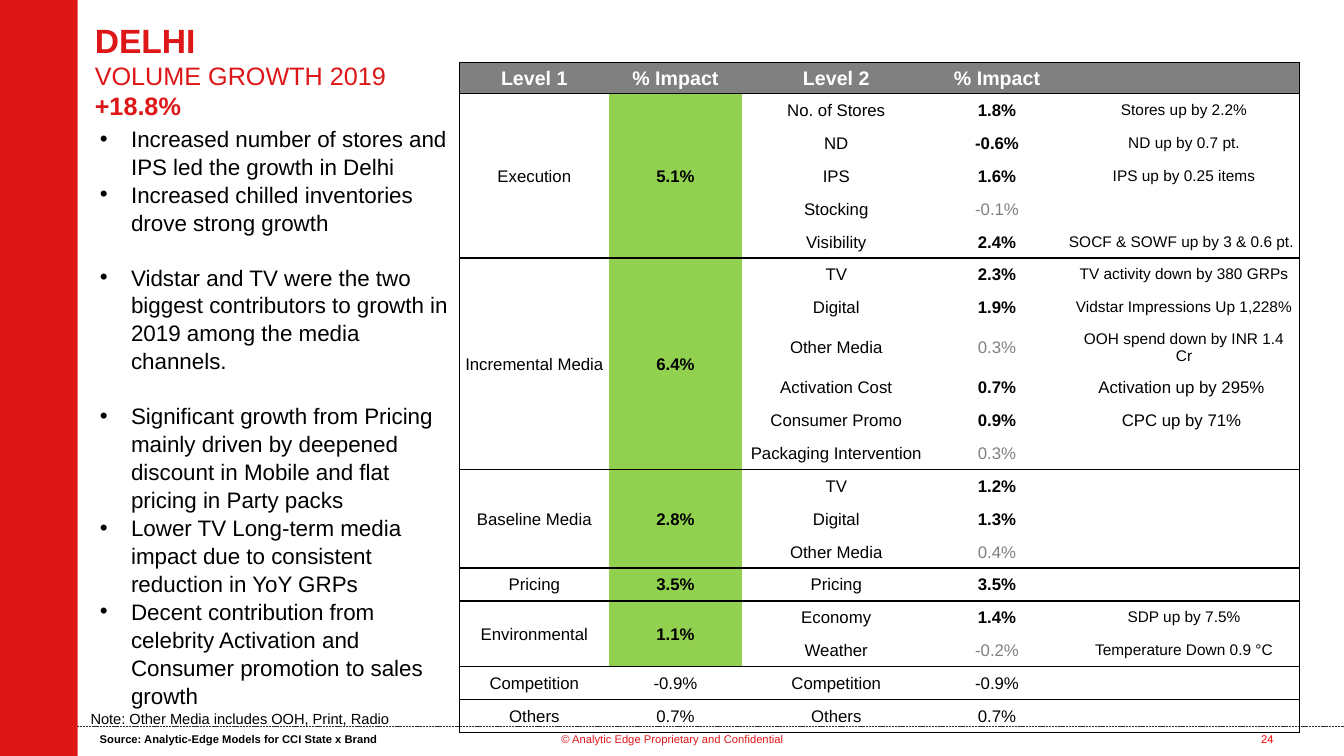
"""Build the Delhi volume growth slide with its driver table."""
from lxml import etree
from pptx import Presentation
from pptx.dml.color import RGBColor
from pptx.enum.dml import MSO_LINE
from pptx.enum.shapes import MSO_CONNECTOR, MSO_SHAPE
from pptx.enum.text import MSO_ANCHOR as ANCHOR, MSO_AUTO_SIZE as AUTO, PP_ALIGN as ALIGN
from pptx.oxml.ns import qn
from pptx.util import Inches, Pt

COLORS = {"red": "DD1618", "number": "FF0000", "black": "000000", "white": "FFFFFF",
          "gray": "808080", "green": "92D050", "rule": "2E2E30"}
NO_GRID_STYLE = "{2D5ABB26-0587-4C30-8999-92F81FD0307C}"

TITLE = [("DELHI", 24, True), ("VOLUME GROWTH 2019", 18, False), ("+18.8%", 18, True)]
BULLETS = [
    ("Increased number of stores and IPS led the growth in Delhi", False),
    ("Increased chilled inventories drove strong growth", False),
    ("Vidstar and TV were the two biggest contributors to growth in 2019 "
     "among the media channels.", True),
    ("Significant growth from Pricing mainly driven by deepened discount in "
     "Mobile and flat pricing in Party packs", True),
    ("Lower TV Long-term media impact due to consistent reduction in YoY GRPs", False),
    ("Decent contribution from celebrity Activation and Consumer promotion "
     "to sales growth", False),
]
HEADERS = ["Level 1", "% Impact", "Level 2", "% Impact", ""]
COLUMN_WIDTHS = [1.48, 1.32, 1.87, 1.32, 2.34]
HEADER_HEIGHT, TABLE_HEIGHT = 0.3, 6.5
DRIVERS = [
    ("Execution", "5.1%", [
        ("No. of Stores", "1.8%", "Stores up by 2.2%"),
        ("ND", "-0.6%", "ND up by 0.7 pt."),
        ("IPS", "1.6%", "IPS up by 0.25 items"),
        ("Stocking", "-0.1%", ""),
        ("Visibility", "2.4%", "SOCF & SOWF up by 3 & 0.6 pt.")]),
    ("Incremental Media", "6.4%", [
        ("TV", "2.3%", "TV activity down by 380 GRPs"),
        ("Digital", "1.9%", "Vidstar Impressions Up 1,228%"),
        ("Other Media", "0.3%", "OOH spend down by INR 1.4 Cr"),
        ("Activation Cost", "0.7%", "Activation up by 295%"),
        ("Consumer Promo", "0.9%", "CPC up by 71%"),
        ("Packaging Intervention", "0.3%", "")]),
    ("Baseline Media", "2.8%", [
        ("TV", "1.2%", ""), ("Digital", "1.3%", ""), ("Other Media", "0.4%", "")]),
    ("Pricing", "3.5%", [("Pricing", "3.5%", "")]),
    ("Environmental", "1.1%", [
        ("Economy", "1.4%", "SDP up by 7.5%"),
        ("Weather", "-0.2%", "Temperature Down 0.9 °C")]),
    ("Competition", "-0.9%", [("Competition", "-0.9%", "")]),
    ("Others", "0.7%", [("Others", "0.7%", "")]),
]
PLAIN_GROUPS = {"Competition", "Others"}
LARGE_NOTES = {"Activation up by 295%", "CPC up by 71%"}
NARROW_NOTES = LARGE_NOTES | {"SOCF & SOWF up by 3 & 0.6 pt.", ""}


def rgb(name):
    """Return the named colour."""
    return RGBColor.from_string(COLORS[name])


def style(p, size, color="black", bold=False, align=ALIGN.LEFT):
    """Format a paragraph and its runs."""
    p.alignment = align
    for r in p.runs:
        r.font.name, r.font.size, r.font.bold = "Arial", Pt(size), bold
        r.font.color.rgb = rgb(color)


def place(sp, left, top, width, height):
    """Move and size a shape, in inches."""
    sp.left, sp.top = Inches(left), Inches(top)
    sp.width, sp.height = Inches(width), Inches(height)


def add_label(slide, text, box, size, color="black", bold=False, align=ALIGN.LEFT):
    """Add a one-line text box."""
    tf = slide.shapes.add_textbox(*map(Inches, box)).text_frame
    tf.word_wrap = True
    tf.text = text
    style(tf.paragraphs[0], size, color, bold, align)


def add_frame(slide):
    """Draw the footer rule and the red side bar."""
    rule = slide.shapes.add_connector(MSO_CONNECTOR.STRAIGHT, Inches(0.71), Inches(7.21),
                                      Inches(13.33), Inches(7.21))
    rule.line.color.rgb, rule.line.width = rgb("rule"), Pt(0.5)
    rule.line.dash_style = MSO_LINE.SQUARE_DOT
    etree.SubElement(rule._element.spPr, qn("a:effectLst"))
    bar = slide.shapes.add_shape(MSO_SHAPE.RECTANGLE, 0, 0, Inches(0.77), Inches(7.5))
    bar.shadow.inherit = False
    bar.fill.solid()
    bar.fill.fore_color.rgb = rgb("red")
    bar.line.fill.background()


def fill_title(sp):
    """Write the three-line heading."""
    place(sp, 0.84, 0.12, 10.25, 0.86)
    tf = sp.text_frame
    tf.auto_size, tf.vertical_anchor, tf.margin_top = AUTO.NONE, ANCHOR.TOP, Inches(0.08)
    tf.text = "\n".join(text for text, _, _ in TITLE)
    for p, (_, size, bold) in zip(tf.paragraphs, TITLE):
        style(p, size, "red", bold)


def fill_bullets(sp):
    """Write the findings, with a gap before each new theme."""
    place(sp, 0.89, 1.18, 3.66, 6.02)
    tf = sp.text_frame
    tf.auto_size, tf.vertical_anchor, tf.margin_right = AUTO.NONE, ANCHOR.TOP, Inches(0.08)
    tf.text = "\n".join(text for text, _ in BULLETS)
    for p, (_, new_theme) in zip(tf.paragraphs, BULLETS):
        pPr = p._p.get_or_add_pPr()
        pPr.set("marL", str(Inches(0.31)))
        pPr.set("indent", str(-Inches(0.31)))
        etree.SubElement(pPr, qn("a:buFont")).set("typeface", "Arial")
        etree.SubElement(pPr, qn("a:buChar")).set("char", "•")
        p.line_spacing = 1.04
        p.space_before = Pt(19.2 if new_theme else 0)
        style(p, 16)


def set_borders(cell, sides):
    """Draw black lines on the given sides and none on the others."""
    tcPr = cell._tc.get_or_add_tcPr()
    for side in "LRTB":
        ln = etree.SubElement(tcPr, qn(f"a:ln{side}"), w=str(Pt(1)))
        if side in sides:
            fill = etree.SubElement(ln, qn("a:solidFill"))
            etree.SubElement(fill, qn("a:srgbClr"), val=COLORS["black"])
        else:
            etree.SubElement(ln, qn("a:noFill"))


def fill_cell(cell, text, size=12, color="black", bold=False, fill=None, wide=False):
    """Write one centred table cell."""
    margins = (0.1, 0.05, 0.05, 0.05) if wide else (0.01, 0.01, 0.01, 0)
    (cell.margin_left, cell.margin_top,
     cell.margin_right, cell.margin_bottom) = map(Inches, margins)
    cell.vertical_anchor = ANCHOR.MIDDLE
    if fill:
        cell.fill.solid()
        cell.fill.fore_color.rgb = rgb(fill)
    else:
        cell.fill.background()
    cell.text_frame.text = text
    style(cell.text_frame.paragraphs[0], size, color, bold, ALIGN.CENTER)


def border_rows(table, first, last):
    """Outline a block of rows."""
    for row in range(first, last + 1):
        for col in range(5):
            sides = {0: "L", 4: "R"}.get(col, "")
            sides += "T" if row == first else ""
            sides += "B" if row == last or (col < 2 and row == first) else ""
            set_borders(table.cell(row, col), sides)


def add_group(table, first, name, impact, details):
    """Write one level 1 group and return the next free row."""
    last = first + len(details) - 1
    plain = name in PLAIN_GROUPS
    border_rows(table, first, last)
    for row, (driver, value, note) in enumerate(details, first):
        minor = not plain and abs(float(value.rstrip("%"))) < 0.5
        fill_cell(table.cell(row, 2), driver)
        fill_cell(table.cell(row, 3), value, color="gray" if minor else "black",
                  bold=not (minor or plain))
        fill_cell(table.cell(row, 4), note, 12 if note in LARGE_NOTES else 11,
                  wide=note not in NARROW_NOTES)
    fill_cell(table.cell(first, 0), name)
    fill_cell(table.cell(first, 1), impact, bold=not plain, fill=None if plain else "green")
    if last > first:
        for col in (0, 1):
            table.cell(first, col).merge(table.cell(last, col))
    return last + 1


def add_driver_table(slide):
    """Add the table of growth drivers."""
    count = sum(len(details) for _, _, details in DRIVERS)
    table = slide.shapes.add_table(count + 1, 5, Inches(4.56), Inches(0.62),
                                   Inches(8.33), Inches(TABLE_HEIGHT)).table
    table._tbl.tblPr.find(qn("a:tableStyleId")).text = NO_GRID_STYLE
    table.first_row = table.horz_banding = False
    for column, width in zip(table.columns, COLUMN_WIDTHS):
        column.width = Inches(width)
    for row in table.rows:
        row.height = Inches((TABLE_HEIGHT - HEADER_HEIGHT) / count)
    table.rows[0].height = Inches(HEADER_HEIGHT)
    border_rows(table, 0, 0)
    for col, text in enumerate(HEADERS):
        fill_cell(table.cell(0, col), text, 14, "white", True, "gray")
    row = 1
    for group in DRIVERS:
        row = add_group(table, row, *group)


def main():
    """Build and save the slide."""
    prs = Presentation()
    prs.slide_width, prs.slide_height = Inches(13.33), Inches(7.5)
    slide = prs.slides.add_slide(prs.slide_layouts[1])
    add_frame(slide)
    add_label(slide, "© Analytic Edge Proprietary and Confidential", (5.27, 7.22, 2.8, 0.4),
              8, "red", align=ALIGN.CENTER)
    add_label(slide, "24", (12.26, 7.22, 0.62, 0.4), 8, "number", align=ALIGN.CENTER)
    add_label(slide, "Source: Analytic-Edge Models for CCI State x Brand",
              (0.89, 7.22, 2.98, 0.24), 8, bold=True)
    add_driver_table(slide)
    fill_bullets(slide.placeholders[1])
    fill_title(slide.shapes.title)
    add_label(slide, "Note: Other Media includes OOH, Print, Radio", (0.8, 6.99, 5.66, 0.29), 10.5)
    prs.save("out.pptx")


if __name__ == "__main__":
    main()
